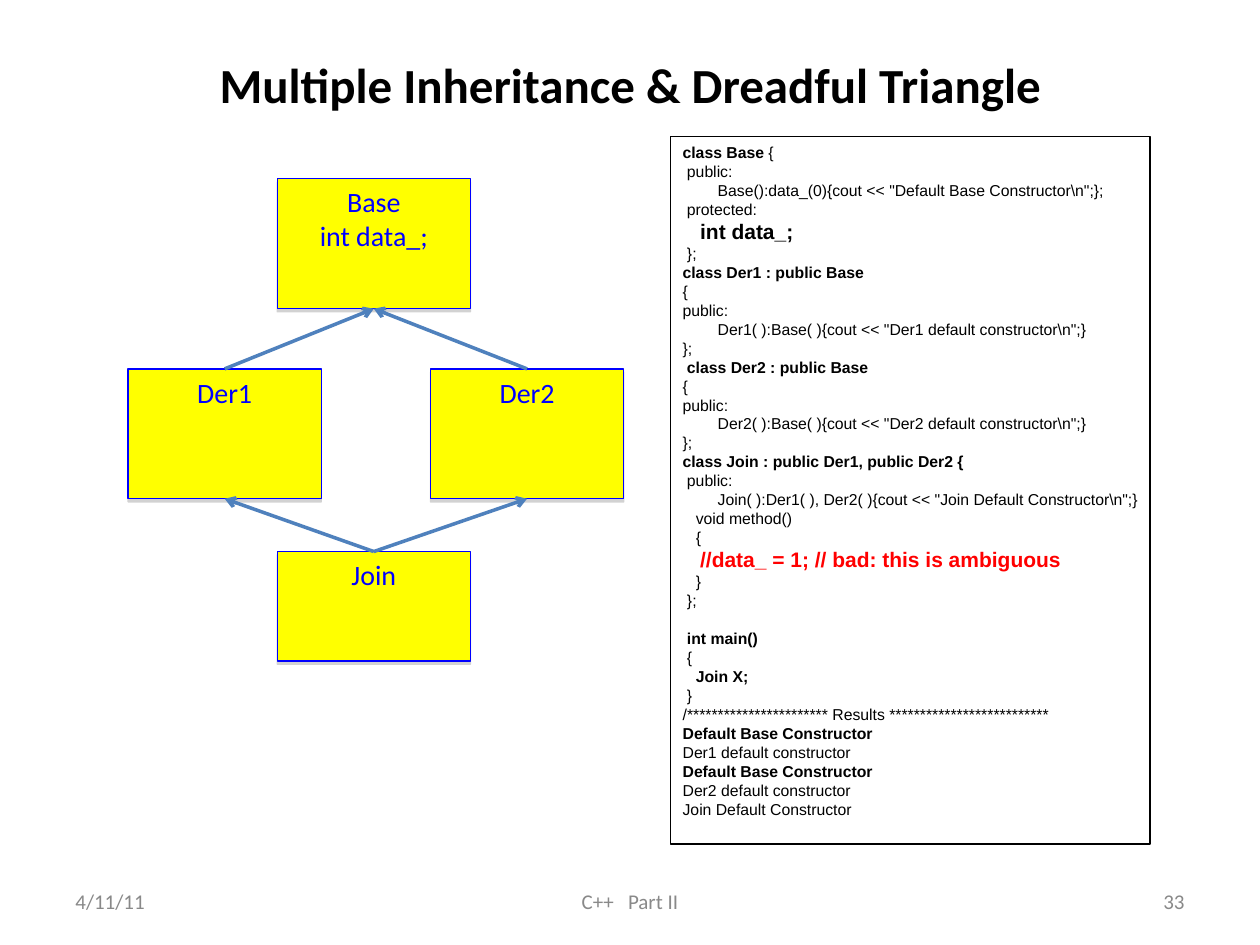
"""Build a slide on multiple inheritance with a class diagram and its C++ code."""
from lxml import etree
from pptx import Presentation
from pptx.dml.color import RGBColor
from pptx.enum import shapes, text
from pptx.oxml import ns
from pptx.util import Pt

BLACK = RGBColor(0, 0, 0)
RED = RGBColor(255, 0, 0)
BLUE = RGBColor(0, 0, 255)
YELLOW = RGBColor(255, 255, 0)
STEEL = RGBColor(0x4F, 0x81, 0xBD)
GRAY = RGBColor(0x89, 0x89, 0x89)
LEFT, CENTER, RIGHT = text.PP_ALIGN.LEFT, text.PP_ALIGN.CENTER, text.PP_ALIGN.RIGHT
TOP, MIDDLE = text.MSO_ANCHOR.TOP, text.MSO_ANCHOR.MIDDLE
SPACE_WIDTH = 0.278

TITLE = {"name": "Calibri", "size": Pt(28), "bold": True}
LABEL = {"name": "Calibri", "size": Pt(16), "bold": False}
FOOTER = {"name": "Calibri", "size": Pt(12), "bold": False}
PLAIN = {"name": "Arial", "size": Pt(9), "bold": False}
BOLD = {**PLAIN, "bold": True}
KEY = {**BOLD, "size": Pt(12)}

CODE = [
    (0, "class Base ", BOLD),
    (1, "public:", PLAIN),
    (8, 'Base():data_(0){cout << "Default Base Constructor\\n";};', PLAIN),
    (1, "protected:", PLAIN),
    (3, "int data_;", KEY),
    (1, "};", PLAIN),
    (0, "class Der1 : public Base", BOLD),
    (0, "{", PLAIN),
    (0, "public:", PLAIN),
    (8, 'Der1( ):Base( ){cout << "Der1 default constructor\\n";}', PLAIN),
    (0, "};", PLAIN),
    (1, "class Der2 : public Base", BOLD),
    (0, "{", PLAIN),
    (0, "public:", PLAIN),
    (8, 'Der2( ):Base( ){cout << "Der2 default constructor\\n";}', PLAIN),
    (0, "};", PLAIN),
    (0, "class Join : public Der1, public Der2 {", BOLD),
    (1, "public:", PLAIN),
    (8, 'Join( ):Der1( ), Der2( ){cout << "Join Default Constructor\\n";}', PLAIN),
    (3, "void method()", PLAIN),
    (3, "{", PLAIN),
    (3, "//data_ = 1; // bad: this is ambiguous", KEY),
    (3, "}", PLAIN),
    (1, "};", PLAIN),
    (1, "int main()", BOLD),
    (1, "{", PLAIN),
    (3, "Join X;", BOLD),
    (1, "}", PLAIN),
    (0, "/*********************** Results **************************", PLAIN),
    (0, "Default Base Constructor", BOLD),
    (0, "Der1 default constructor", PLAIN),
    (0, "Default Base Constructor", BOLD),
    (0, "Der2 default constructor", PLAIN),
    (0, "Join Default Constructor", PLAIN),
]


def add_run(paragraph, words, style, color):
    run = paragraph.add_run()
    run.text = words
    for name, value in style.items():
        setattr(run.font, name, value)
    run.font.color.rgb = color


def write_lines(shape, lines, style, color, align, anchor):
    frame = shape.text_frame
    frame.word_wrap = True
    frame.vertical_anchor = anchor
    for index, line in enumerate(lines):
        paragraph = frame.add_paragraph() if index else frame.paragraphs[0]
        paragraph.alignment = align
        add_run(paragraph, line, style, color)


presentation = Presentation()
presentation.slide_width, presentation.slide_height = Pt(720), Pt(540)
slide = presentation.slides.add_slide(presentation.slide_layouts[5])

title = slide.shapes.title
title.left, title.top, title.width, title.height = Pt(54), Pt(18), Pt(612), Pt(60)
write_lines(title, ["Multiple Inheritance & Dreadful Triangle"], TITLE, BLACK, CENTER, MIDDLE)

boxes = {}
for name, lines, left, top, height in [
    ("Der1", ["Der1"], 73.2, 210.8, 74.2),
    ("Der2", ["Der2"], 246, 210.8, 74.2),
    ("Join", ["Join"], 158.4, 315.2, 62.6),
    ("Base", ["Base", "int data_;"], 158.4, 102.2, 74.2),
]:
    box = slide.shapes.add_shape(
        shapes.MSO_SHAPE.FLOWCHART_PROCESS, Pt(left), Pt(top), Pt(110.4), Pt(height))
    box.fill.solid()
    box.fill.fore_color.rgb = YELLOW
    box.line.color.rgb = BLUE
    box.line.width = Pt(0.75)
    box.shadow.inherit = False
    effects = box._element.spPr.find(ns.qn("a:effectLst"))
    shadow = etree.SubElement(effects, ns.qn("a:outerShdw"), dist=str(Pt(1.8)), dir="5400000")
    shadow_color = etree.SubElement(shadow, ns.qn("a:srgbClr"), val="808080")
    etree.SubElement(shadow_color, ns.qn("a:alpha"), val="35000")
    write_lines(box, lines, LABEL, BLUE, CENTER, TOP)
    boxes[name] = box

for child, parent in [("Join", "Der2"), ("Join", "Der1"), ("Der1", "Base"), ("Der2", "Base")]:
    arrow = slide.shapes.add_connector(shapes.MSO_CONNECTOR.STRAIGHT, 0, 0, 0, 0)
    arrow.begin_connect(boxes[child], 0)
    arrow.end_connect(boxes[parent], 2)
    arrow.line.color.rgb = STEEL
    arrow.line.width = Pt(2)
    etree.SubElement(arrow.line._get_or_add_ln(), ns.qn("a:tailEnd"), type="arrow")
    etree.SubElement(arrow._element.spPr, ns.qn("a:effectLst"))

listing = slide.shapes.add_shape(
    shapes.MSO_SHAPE.RECTANGLE, Pt(383), Pt(78), Pt(274.2), Pt(404.4))
listing.fill.background()
listing.line.color.rgb = BLACK
listing.line.width = Pt(0.75)
listing.shadow.inherit = False
frame = listing.text_frame
frame.word_wrap = False
frame.vertical_anchor = TOP
for index, (spaces, words, style) in enumerate(CODE):
    paragraph = frame.add_paragraph() if index else frame.paragraphs[0]
    paragraph.alignment = LEFT
    indent = Pt(spaces * SPACE_WIDTH * style["size"].pt)
    properties = paragraph._p.get_or_add_pPr()
    properties.set("marL", str(indent))
    properties.set("indent", "0")
    add_run(paragraph, words, style, RED if words.startswith("//") else BLACK)
    if words == "class Base ":
        add_run(paragraph, "{", PLAIN, BLACK)
    if words == "int main()":
        paragraph.space_before = Pt(10.8)

for words, left, width, align in [
    ("33", 516, 168, RIGHT),
    ("C++   Part II", 246, 228, CENTER),
    ("4/11/11", 36, 168, LEFT),
]:
    footer = slide.shapes.add_textbox(Pt(left), Pt(500.5), Pt(width), Pt(28.8))
    write_lines(footer, [words], FOOTER, GRAY, align, MIDDLE)

presentation.save("out.pptx")
